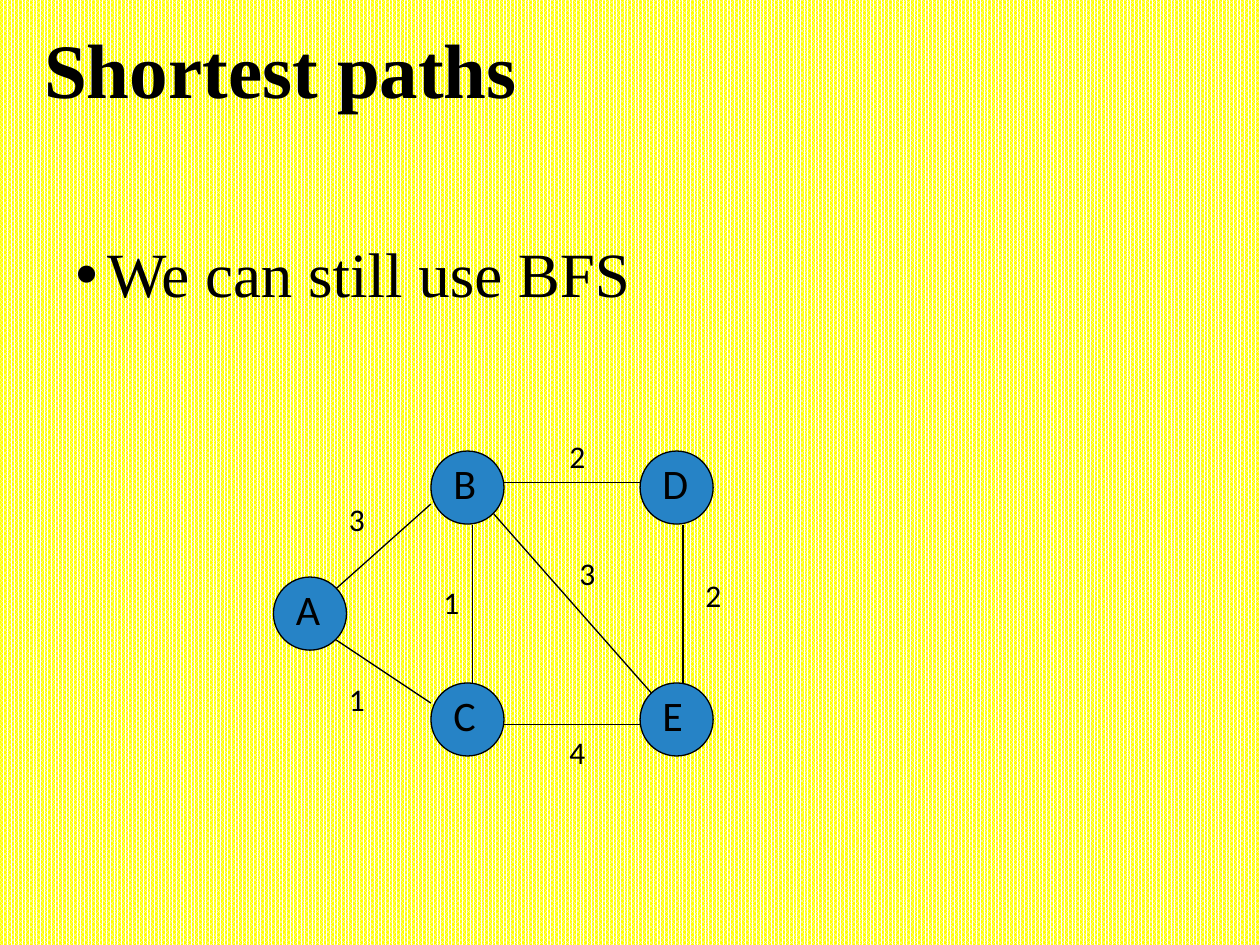
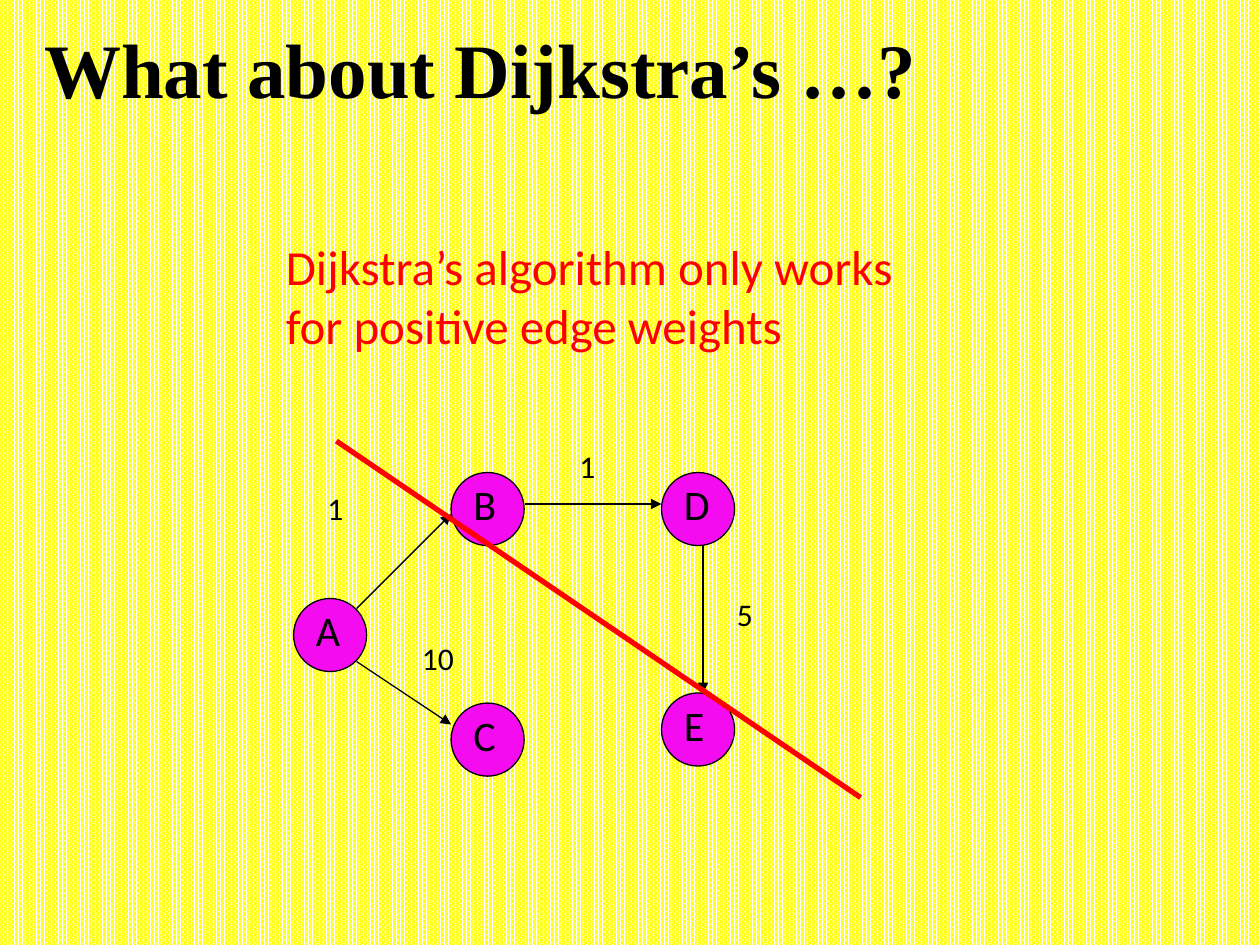
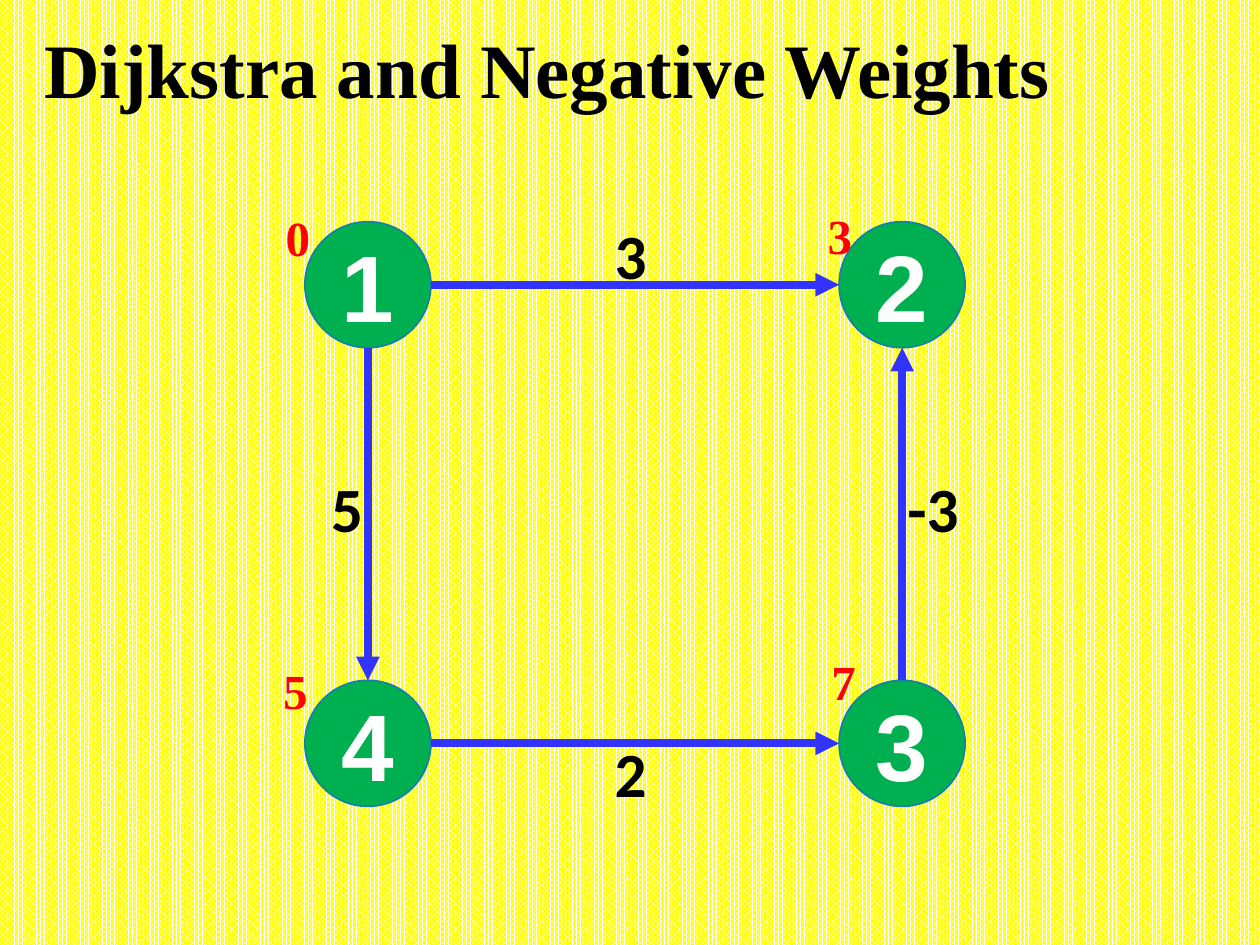
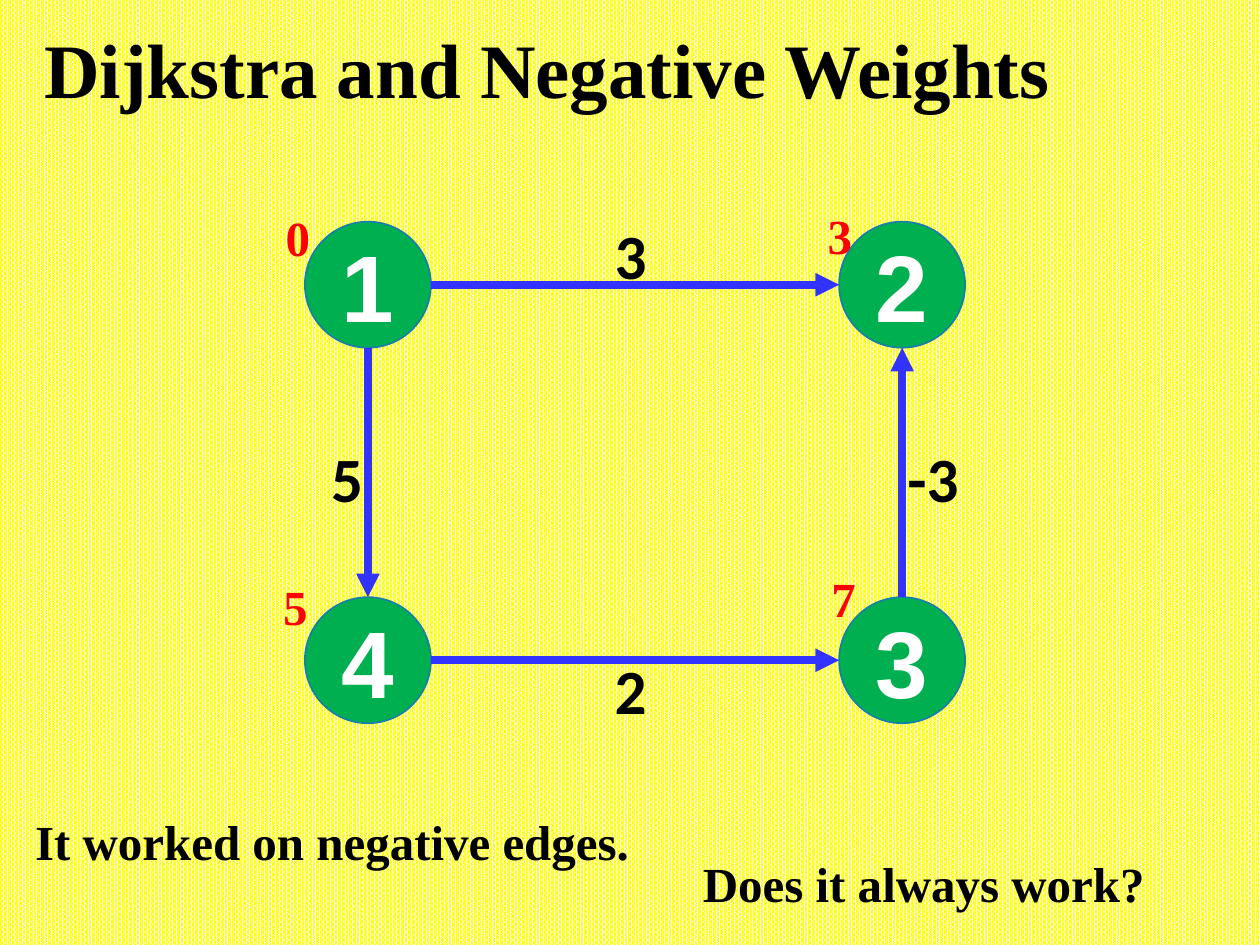
from lxml import etree
from pptx import Presentation
from pptx.dml.color import RGBColor
from pptx.enum.dml import MSO_PATTERN
from pptx.enum.shapes import MSO_CONNECTOR, MSO_SHAPE
from pptx.enum.text import MSO_ANCHOR, MSO_AUTO_SIZE, PP_ALIGN
from pptx.oxml.ns import qn
from pptx.util import Inches, Pt

OVAL = MSO_SHAPE.OVAL
STRAIGHT = MSO_CONNECTOR.STRAIGHT
LEFT, CENTER = PP_ALIGN.LEFT, PP_ALIGN.CENTER
TOP, MIDDLE = MSO_ANCHOR.TOP, MSO_ANCHOR.MIDDLE
SERIF, SANS, NODE_FONT = "Times New Roman", "Calibri", "Arial"
BLACK, WHITE, YELLOW, RED = "000000", "FFFFFF", "FFFF00", "FF0000"
GREEN, TEAL, BLUE = "00B050", "1580A9", "3333FF"
rgb = RGBColor.from_string


def write(sp, text, size, font=SANS, color=BLACK, bold=False, align=LEFT, anchor=TOP):
    """Put one formatted paragraph into a shape and return the paragraph."""
    tf = sp.text_frame
    tf.text = text
    tf.word_wrap = True
    tf.auto_size = MSO_AUTO_SIZE.NONE
    tf.vertical_anchor = anchor
    p = tf.paragraphs[0]
    p.alignment = align
    f = p.runs[0].font
    f.size, f.name, f.bold = Pt(size), font, bold
    f.color.rgb = rgb(color)
    return p


def add_line(s, ends, color=BLACK, width=0.75, arrow=False):
    cx = s.shapes.add_connector(STRAIGHT, *map(Inches, ends))
    cx.line.color.rgb = rgb(color)
    cx.line.width = Pt(width)
    if arrow:
        etree.SubElement(cx.line._get_or_add_ln(), qn("a:tailEnd"), type="triangle")
    etree.SubElement(cx._element.spPr, qn("a:effectLst"))


prs = Presentation()
prs.slide_width, prs.slide_height = Inches(10), Inches(7.5)
background = prs.slide_master.background.fill
background.patterned()
background.pattern = MSO_PATTERN.PERCENT_80
background.fore_color.rgb = rgb(WHITE)
background.back_color.rgb = rgb(YELLOW)

TITLE_AND_CONTENT, TITLE_ONLY = prs.slide_layouts[1], prs.slide_layouts[5]
slides = []
for layout, title in [
    (TITLE_AND_CONTENT, "Shortest paths"),
    (TITLE_ONLY, "What about Dijkstra’s …?"),
    (TITLE_ONLY, "Dijkstra and Negative Weights"),
    (TITLE_ONLY, "Dijkstra and Negative Weights"),
]:
    s = prs.slides.add_slide(layout)
    sp = s.shapes.title
    sp.left, sp.top, sp.width, sp.height = map(Inches, (0.25, 0.15, 9.43, 0.87))
    write(sp, title, 44, SERIF, bold=True, anchor=MIDDLE).line_spacing = 0.9
    slides.append(s)

# Slide 1: bullet
body = slides[0].placeholders[1]
body.left, body.top, body.width, body.height = map(Inches, (0.5, 1.88, 9, 0.87))
p = write(body, "We can still use BFS", 36, SERIF)
p.line_spacing, p.space_before = 0.9, Pt(10)
pPr = p._p.get_or_add_pPr()
pPr.set("marL", str(Inches(0.25)))
pPr.set("indent", str(Inches(-0.25)))

# Slides 1 and 2: lettered graphs
undirected = dict(
    fill="2683C6", arrow=False, weight_width=0.58,
    nodes={"A": (2.17, 4.58), "B": (3.42, 3.58), "C": (3.42, 5.42),
           "E": (5.08, 5.42), "D": (5.08, 3.58)},
    edges=[(2.67, 4.67, 3.42, 4), (2.67, 5.08, 3.42, 5.58), (4, 5.75, 5.08, 5.75),
           (5.42, 5.42, 5.42, 4.17), (3.75, 5.42, 3.75, 4.17),
           (4, 3.83, 5.08, 3.83), (3.92, 4.08, 5.17, 5.5)],
    weights=[("1", 2.67, 5.35), ("1", 3.42, 4.58), ("3", 2.67, 3.92), ("2", 4.42, 3.42),
             ("2", 5.5, 4.52), ("3", 4.5, 4.35), ("4", 4.42, 5.77)],
)
directed = dict(
    fill="F50BEF", arrow=True, weight_width=0.75,
    nodes={"A": (2.33, 4.75), "B": (3.58, 3.75), "C": (3.58, 5.58),
           "E": (5.25, 5.5), "D": (5.25, 3.75)},
    edges=[(2.83, 4.83, 3.58, 4.08), (2.83, 5.25, 3.58, 5.75),
           (4.17, 4, 5.25, 4), (5.58, 4.33, 5.58, 5.5)],
    weights=[("1", 2.5, 3.83), ("1", 4.5, 3.5), ("5", 5.75, 4.67), ("10", 3.25, 5.02)],
)
for s, graph in zip(slides, (undirected, directed)):
    for name, (x, y) in graph["nodes"].items():
        group = s.shapes.add_group_shape()
        node = group.shapes.add_shape(OVAL, *map(Inches, (x, y, 0.58, 0.58)))
        node.shadow.inherit = False
        node.fill.solid()
        node.fill.fore_color.rgb = rgb(graph["fill"])
        node.line.color.rgb = rgb(BLACK)
        node.line.width = Pt(0.75)
        label = group.shapes.add_textbox(*map(Inches, (x + 0.08, y, 0.5, 0.5)))
        write(label, name, 24)
    for ends in graph["edges"]:
        add_line(s, ends, arrow=graph["arrow"])
    for weight, x, y in graph["weights"]:
        box = map(Inches, (x, y, graph["weight_width"], 0.4))
        write(s.shapes.add_textbox(*box), weight, 18)

# Slide 2: strike-out and warning
s = slides[1]
add_line(s, (2.67, 3.5, 6.83, 6.33), RED, 3)
warning = s.shapes.add_textbox(*map(Inches, (2.17, 1.83, 5.5, 1.03)))
write(warning, "Dijkstra’s algorithm only works for positive edge weights", 28, color=RED)

# Slides 3 and 4: numbered squares that differ in height
x1, x2, y1, size = 2.42, 6.66, 1.76, 1
mid = size / 2
for s, y2, side_y in [(slides[2], 5.4, 3.68), (slides[3], 4.74, 3.44)]:
    for name, x, y in [("1", x1, y1), ("4", x1, y2), ("2", x2, y1), ("3", x2, y2)]:
        node = s.shapes.add_shape(OVAL, *map(Inches, (x, y, size, size)))
        node.shadow.inherit = False
        node.fill.solid()
        node.fill.fore_color.rgb = rgb(GREEN)
        node.line.color.rgb = rgb(TEAL)
        node.line.width = Pt(1)
        write(node, name, 54, NODE_FONT, WHITE, True, CENTER, MIDDLE)
    for ends in [
        (x1 + size, y1 + mid, x2, y1 + mid),
        (x1 + mid, y1 + size, x1 + mid, y2),
        (x2 + mid, y2, x2 + mid, y1 + size),
        (x1 + size, y2 + mid, x2, y2 + mid),
    ]:
        add_line(s, ends, BLUE, 4.5, arrow=True)
    for weight, x, y in [("3", 4.69, 1.67), ("2", 4.69, y2 + 0.38),
                         ("-3", 7.09, side_y), ("5", 2.44, side_y)]:
        box = map(Inches, (x, y, 0.63, 0.71))
        write(s.shapes.add_textbox(*box), weight, 36, bold=True, align=CENTER)
    for distance, x, y in [("0", 2.05, 1.6), ("5", 2.03, y2 - 0.21),
                           ("3", 6.35, 1.58), ("7", 6.38, y2 - 0.28)]:
        box = map(Inches, (x, y, 0.63, 0.57))
        write(s.shapes.add_textbox(*box), distance, 28, SERIF, RED, True, CENTER)

# Slide 4: remarks
for text, box, spacing in [
    ("It worked on negative edges.", (0.18, 6.42, 5, 0.57), 0.9),
    ("Does it always work?", (5.48, 6.79, 4.21, 0.44), 1.0),
]:
    remark = slides[3].shapes.add_textbox(*map(Inches, box))
    write(remark, text, 28, SERIF, bold=True, anchor=MIDDLE).line_spacing = spacing

prs.save("out.pptx")
